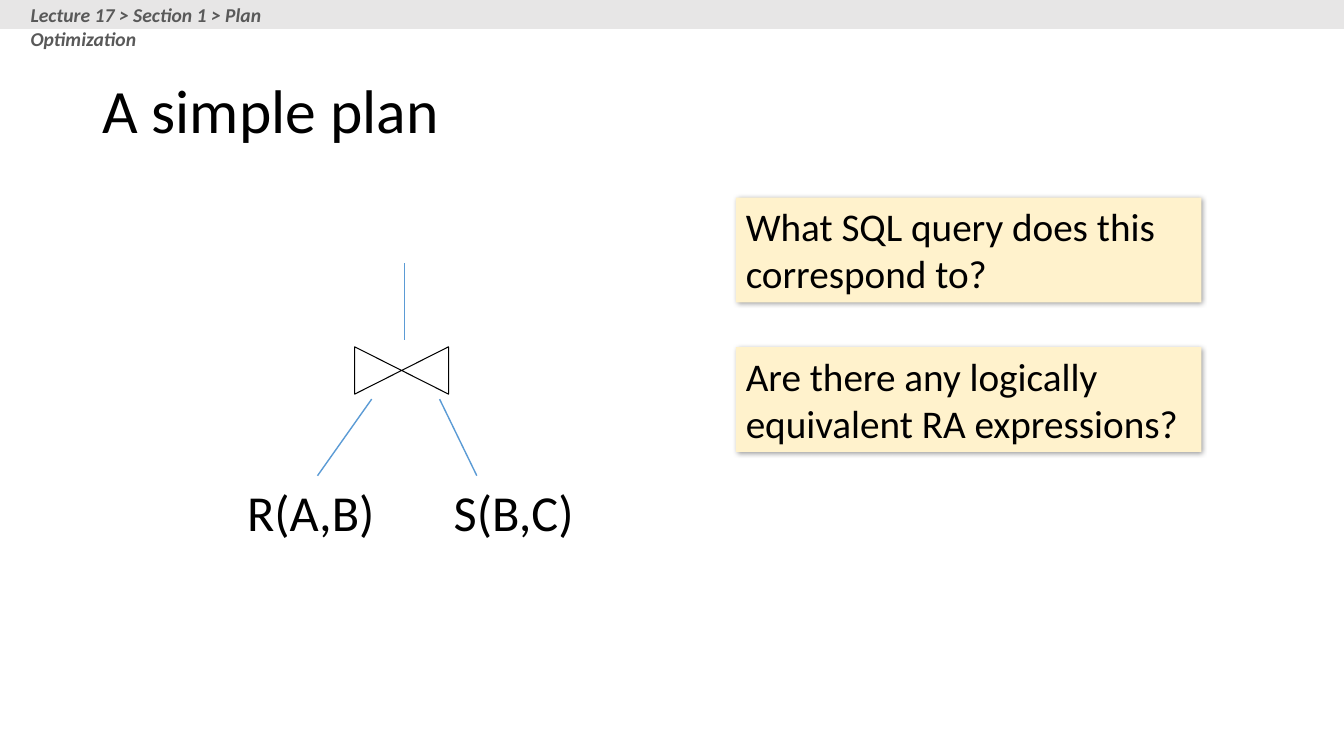
import pptx
import pptx.util
import pptx.dml.color
import pptx.enum.shapes
import pptx.enum.text
import pptx.oxml.ns
import lxml.etree

Pt = pptx.util.Pt
RGBColor = pptx.dml.color.RGBColor
SHAPES = pptx.enum.shapes.MSO_SHAPE
ALIGN = pptx.enum.text.PP_ALIGN
ANCHOR = pptx.enum.text.MSO_ANCHOR
qn = pptx.oxml.ns.qn

BLACK = RGBColor(0x00, 0x00, 0x00)
BLUE = RGBColor(0x5B, 0x9B, 0xD5)
CREAM = RGBColor(0xFF, 0xF2, 0xCC)
LIGHT_GREY = RGBColor(0xE7, 0xE6, 0xE6)
DARK_GREY = RGBColor(0x59, 0x59, 0x59)


def write_text(box, text, size=28, color=BLACK, bold=False, italic=False,
               align=ALIGN.LEFT, anchor=ANCHOR.TOP, line_spacing=None):
    frame = box.text_frame
    frame.word_wrap = True
    frame.vertical_anchor = anchor
    para = frame.paragraphs[0]
    para.alignment = align
    para.line_spacing = line_spacing
    span = para.add_run()
    span.text = text
    span.font.name = "Calibri"
    span.font.size = Pt(size)
    span.font.bold = bold
    span.font.italic = italic
    span.font.color.rgb = color


def add_text(page, place, text, **text_format):
    box = page.shapes.add_textbox(*map(Pt, place))
    write_text(box, text, **text_format)


def add_shape(page, kind, place, fill=None, line=None):
    shape = page.shapes.add_shape(kind, *map(Pt, place))
    if fill is None:
        shape.fill.background()
    else:
        shape.fill.solid()
        shape.fill.fore_color.rgb = fill
    if line is None:
        shape.line.fill.background()
    else:
        shape.line.color.rgb = line
        shape.line.width = Pt(0.75)
    shape.shadow.inherit = False
    return shape


def add_question(page, place, text):
    card = add_shape(page, SHAPES.RECTANGLE, place, fill=CREAM)
    effects = card._element.spPr.find(qn("a:effectLst"))
    shadow = lxml.etree.SubElement(
        effects, qn("a:outerShdw"), blurRad=str(Pt(4)), dist=str(Pt(1)),
        dir="2700000", algn="tl", rotWithShape="0")
    color = lxml.etree.SubElement(shadow, qn("a:srgbClr"), val=str(BLACK))
    lxml.etree.SubElement(color, qn("a:alpha"), val="40000")
    write_text(card, text)


def add_edge(page, start, end):
    edge = page.shapes.add_connector(
        pptx.enum.shapes.MSO_CONNECTOR.STRAIGHT, *map(Pt, start + end))
    edge.line.color.rgb = BLUE
    edge.line.width = Pt(1)
    lxml.etree.SubElement(edge._element.spPr, qn("a:effectLst"))


def main():
    deck = pptx.Presentation()
    deck.slide_width, deck.slide_height = Pt(960), Pt(540)
    page = deck.slides.add_slide(deck.slide_layouts[6])

    # Title
    add_text(page, (66, 28.75, 828, 104.4), "A simple plan", size=44,
             anchor=ANCHOR.MIDDLE, line_spacing=0.9)

    # Plan tree: join operator, its two relations and the edges
    join = add_shape(page, SHAPES.FLOWCHART_COLLATE, (270, 231.1, 33.8, 67),
                     line=BLACK)
    join.rotation = 270
    for left, width, relation in ((156.2, 131.8, "R(A,B)"),
                                  (308.2, 117.4, "S(B,C)")):
        add_text(page, (left, 339.8, width, 51), relation, size=36,
                 align=ALIGN.CENTER)
    for start, end in (((226.8, 339.8), (265.5, 285.1)),
                       ((340.6, 339.8), (314, 285.1)),
                       ((288.8, 242.6), (288.8, 187.9))):
        add_edge(page, start, end)

    # Questions
    questions = ("What SQL query does this correspond to?",
                 "Are there any logically equivalent RA expressions?")
    for row, question in enumerate(questions):
        add_question(page, (525.6, 141.1 + 106.8 * row, 332.6, 75), question)

    # Breadcrumb header
    add_shape(page, SHAPES.RECTANGLE, (0, 0, 960, 20.6), fill=LIGHT_GREY)
    add_text(page, (14.8, -1.4, 252, 24.2),
             "Lecture 17 > Section 1 > Plan Optimization",
             size=14, color=DARK_GREY, bold=True, italic=True)

    deck.save("out.pptx")


if __name__ == "__main__":
    main()
